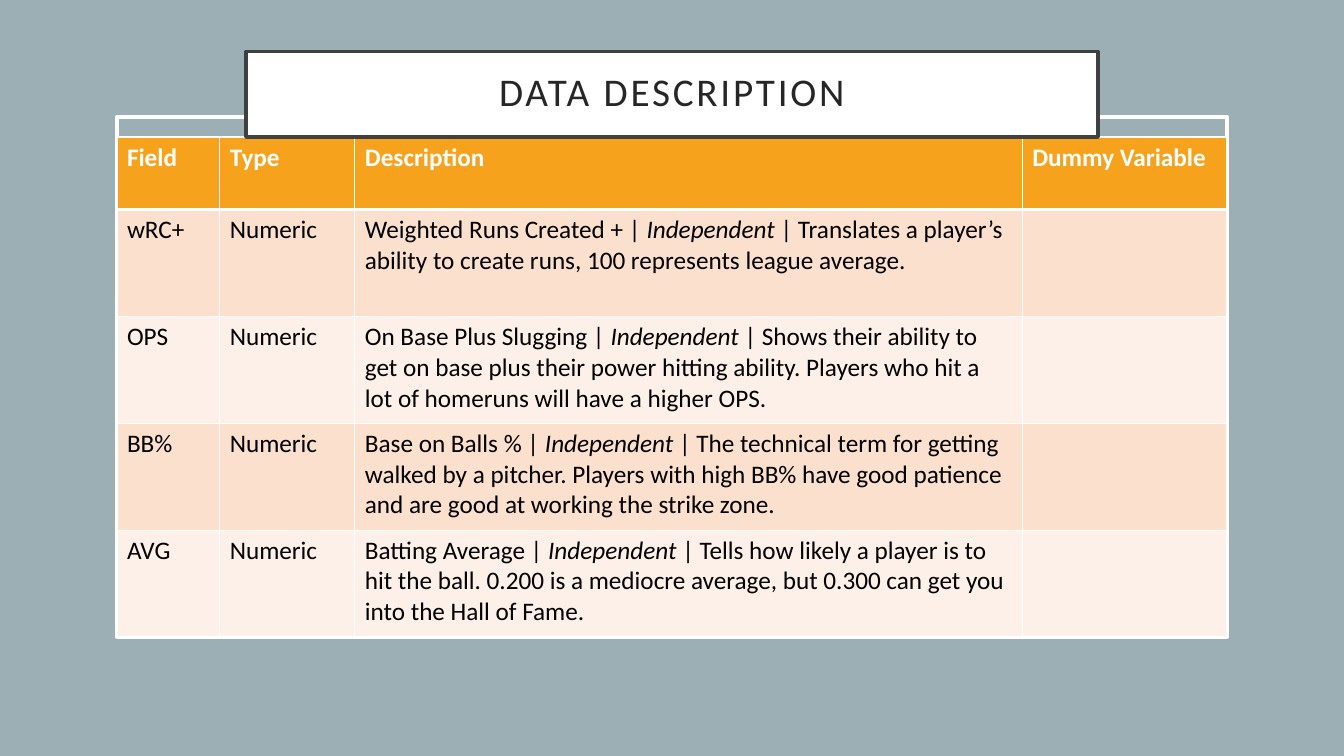
from lxml import etree
from pptx import Presentation
from pptx.dml.color import RGBColor
from pptx.enum.shapes import MSO_SHAPE
from pptx.enum.text import MSO_ANCHOR, MSO_AUTO_SIZE, PP_ALIGN
from pptx.oxml.ns import qn
from pptx.util import Inches, Pt

RECT = MSO_SHAPE.RECTANGLE
MIDDLE, CENTER = MSO_ANCHOR.MIDDLE, PP_ALIGN.CENTER
NO_AUTOFIT = MSO_AUTO_SIZE.NONE

# Content
TITLE = "DATA DESCRIPTION"
HEADERS = ["Field", "Type", "Description", "Dummy Variable"]
ROLE = "Independent "
FIELDS = [
    ("wRC+", "Numeric", "Weighted Runs Created + | ",
     "| Translates a player’s ability to create runs, 100 represents league average."),
    ("OPS", "Numeric", "On Base Plus Slugging | ",
     "| Shows their ability to get on base plus their power hitting ability. "
     "Players who hit a lot of homeruns will have a higher OPS."),
    ("BB%", "Numeric", "Base on Balls % | ",
     "| The technical term for getting walked by a pitcher. Players with high BB% "
     "have good patience and are good at working the strike zone."),
    ("AVG", "Numeric", "Batting Average | ",
     "| Tells how likely a player is to hit the ball. 0.200 is a mediocre average, "
     "but 0.300 can get you into the Hall of Fame."),
]

# Format
FONT = "Calibri"
WHITE = RGBColor(0xFF, 0xFF, 0xFF)
BLACK = RGBColor(0x00, 0x00, 0x00)
SLATE = RGBColor(0x9B, 0xAF, 0xB5)
ORANGE = RGBColor(0xF6, 0xA2, 0x1D)
BANDS = [RGBColor(0xFB, 0xE0, 0xCD), RGBColor(0xFD, 0xF0, 0xE8)]
TITLE_LINE = RGBColor(0x40, 0x40, 0x40)
TITLE_TEXT = RGBColor(0x26, 0x26, 0x26)
HEADER_FONT = {"name": FONT, "size": Pt(18), "bold": True, "italic": False}
BODY_FONT = {**HEADER_FONT, "bold": False}

# Layout in inches
SLIDE_W, SLIDE_H = 13.33, 7.5
COL_WIDTHS = [1.02, 1.34, 6.62, 2.03]
HEADER_H, ROW_H = 0.72, 1.06
TABLE_W = sum(COL_WIDTHS)
TABLE_H = HEADER_H + ROW_H * len(FIELDS)
LEFT = (SLIDE_W - TABLE_W) / 2
TABLE_TOP, FRAME_TOP = 1.36, 1.16
PANEL_W, PANEL_H = 10.6, 4.77
TITLE_W, TITLE_H = 8.45, 0.85


def add_rect(x, y, w, h, fill=None, line=None):
    sp = s.shapes.add_shape(RECT, Inches(x), Inches(y), Inches(w), Inches(h))
    sp.shadow.inherit = False
    paint(sp, fill, line)


def paint(sp, fill, line):
    if fill is None:
        sp.fill.background()
    else:
        sp.fill.solid()
        sp.fill.fore_color.rgb = fill
    if line is None:
        sp.line.fill.background()
    else:
        sp.line.color.rgb = line
        sp.line.width = Pt(2.5)


def add_run(p, text, color, values):
    r = p.add_run()
    r.text = text
    for name, value in values.items():
        setattr(r.font, name, value)
    r.font.color.rgb = color
    return r


def set_borders(cell, widths):
    tc_pr = cell._tc.get_or_add_tcPr()
    for i, (side, width) in enumerate(widths.items()):
        ln = etree.Element(qn("a:ln" + side), w=str(Pt(width)))
        solid = etree.SubElement(ln, qn("a:solidFill"))
        etree.SubElement(solid, qn("a:srgbClr"), val=str(WHITE))
        tc_pr.insert(i, ln)


prs = Presentation()
prs.slide_width, prs.slide_height = Inches(SLIDE_W), Inches(SLIDE_H)
s = prs.slides.add_slide(prs.slide_layouts[5])

# Backdrop, panel and white frame
add_rect(0, 0, SLIDE_W, SLIDE_H, fill=SLATE)
add_rect((SLIDE_W - PANEL_W) / 2, TABLE_TOP, PANEL_W, PANEL_H, fill=WHITE)
add_rect(LEFT, FRAME_TOP, TABLE_W, TABLE_TOP + TABLE_H - FRAME_TOP, line=WHITE)

# Table
table = s.shapes.add_table(len(FIELDS) + 1, len(HEADERS), Inches(LEFT), Inches(TABLE_TOP),
                           Inches(TABLE_W), Inches(TABLE_H)).table
for col, width in zip(table.columns, COL_WIDTHS):
    col.width = Inches(width)

rows = [[[h] for h in HEADERS]]
rows += [[[field], [kind], [name, ROLE, note], []] for field, kind, name, note in FIELDS]
for i, row in enumerate(rows):
    header = i == 0
    table.rows[i].height = Inches(HEADER_H if header else ROW_H)
    borders = {"L": 1, "R": 1, "T": 3 if i == 1 else 1, "B": 3 if header else 1}
    for j, parts in enumerate(row):
        cell = table.cell(i, j)
        cell.fill.solid()
        cell.fill.fore_color.rgb = ORANGE if header else BANDS[(i - 1) % 2]
        set_borders(cell, borders)
        p = cell.text_frame.paragraphs[0]
        p.font.size = Pt(18)
        for part in parts:
            r = add_run(p, part, WHITE if header else BLACK,
                        HEADER_FONT if header else BODY_FONT)
            r.font.italic = part == ROLE

# Title box, in front of the table
title = s.shapes.title
title.left, title.top = Inches((SLIDE_W - TITLE_W) / 2), Inches(TABLE_TOP - TITLE_H)
title.width, title.height = Inches(TITLE_W), Inches(TITLE_H)
paint(title, WHITE, TITLE_LINE)
tf = title.text_frame
frame_format = {"word_wrap": True, "auto_size": NO_AUTOFIT, "vertical_anchor": MIDDLE}
frame_format.update({"margin_" + side: Inches(0.2) for side in ("left", "top", "right", "bottom")})
for name, value in frame_format.items():
    setattr(tf, name, value)
p = tf.paragraphs[0]
p.alignment, p.line_spacing = CENTER, 0.9
r = add_run(p, TITLE, TITLE_TEXT, {"name": FONT, "size": Pt(28), "bold": False})
r.font._element.set("spc", "200")
s.shapes._spTree.append(title._element)

prs.save("out.pptx")
